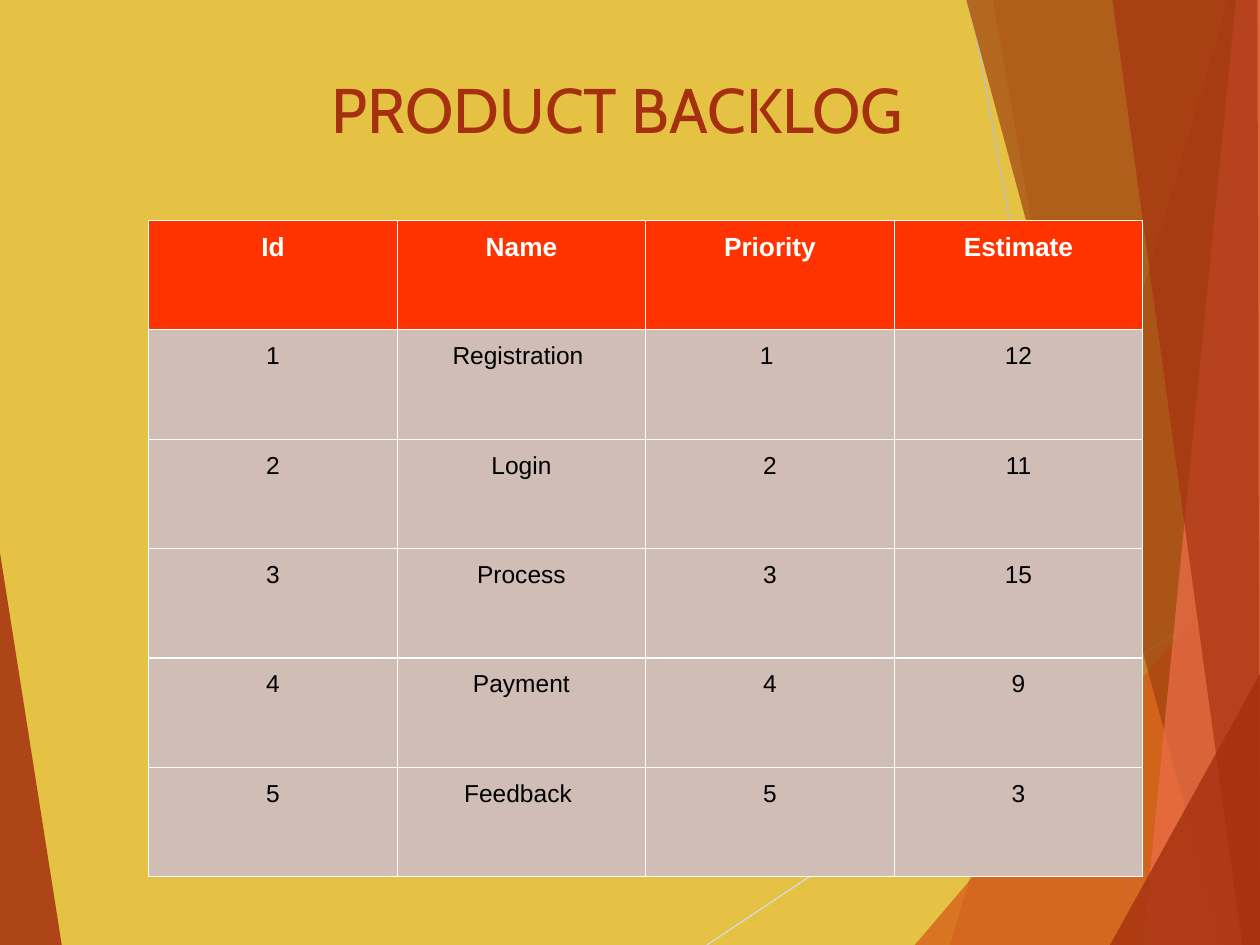
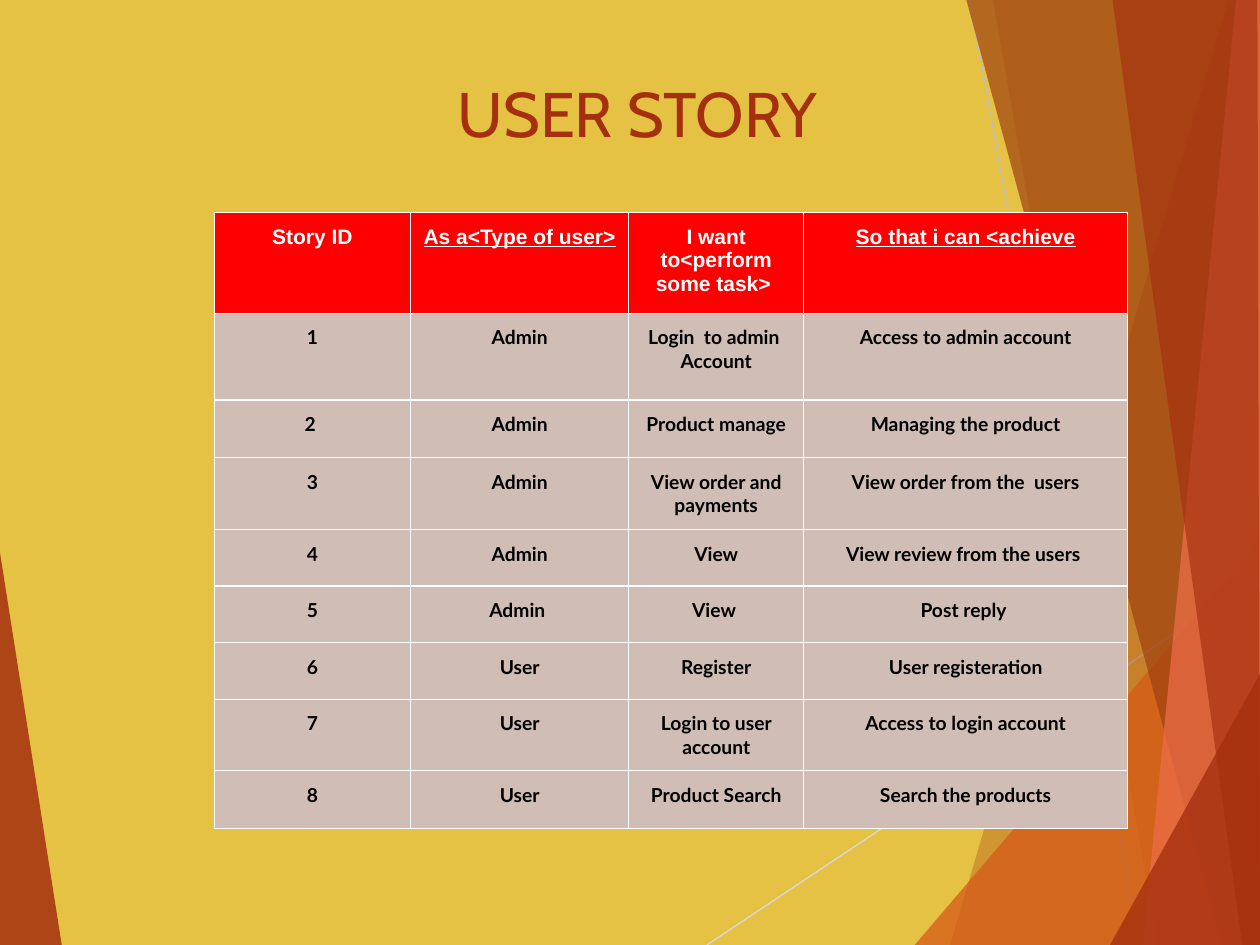
from lxml.etree import SubElement
from pptx import Presentation
from pptx.dml.color import RGBColor
from pptx.enum.shapes import MSO_CONNECTOR
from pptx.enum.text import MSO_ANCHOR, PP_ALIGN
from pptx.oxml import parse_xml
from pptx.oxml.ns import nsdecls, qn
from pptx.util import Inches, Pt

W, H = Inches(10), Inches(7.5)
FULL = (0, 0, W, H)
BLANK = 6

COLORS = {
    "gold": "E5C243", "brick": "A5300F", "rust": "A04210", "orange": "D55816",
    "coral": "EE6E4A", "pale": "D9D9D9", "silver": "BFBFBF", "white": "FFFFFF",
    "black": "000000", "body": "D0BDB6", "scarlet": "FF3300", "red": "FF0000",
}

RAYS = [((56.1, 100), (100, 61), "pale"), ((77, 0), (90.4, 100), "silver")]

FACETS = [
    ("brick", 30, [(97.5, 0), (75.4, 100), (100, 100), (100, 0)]),
    ("brick", 20, [(78.8, 0), (91.9, 100), (100, 100), (100, 0)]),
    ("orange", 72, [(72.6, 100), (100, 57.2), (100, 100)]),
    ("rust", 70, [(76.7, 0), (97, 100), (100, 100), (100, 0)]),
    ("coral", 70, [(98.1, 0), (90.7, 100), (100, 100), (100, 0)]),
    ("brick", 65, [(88.3, 0), (98.6, 100), (100, 100), (99.8, 0)]),
    ("brick", 80, [(88.1, 100), (100, 71.3), (100, 100)]),
]
LEFT_FACET = ("brick", 85, [(0, 58.5), (4.9, 100), (0, 100)])

BACKLOG = [
    ["Id", "Name", "Priority", "Estimate"],
    ["1", "Registration ", "1 ", "12"],
    ["2", "Login", "2", "11"],
    ["3", "Process", "3", "15"],
    ["4", "Payment", "4", "9"],
    ["5", "Feedback ", "5", "3"],
]

STORIES = [
    ["Story ID", "As a<Type of user>", "I want to<perform some task> ",
     "So that i can <achieve"],
    ["1", "Admin", "Login  to admin \nAccount", "Access to admin account"],
    ["2 ", "Admin", "Product manage", "Managing the product"],
    ["3", "Admin", "View order and payments", "View order from the  users"],
    ["4", "Admin", "View", "View review from the users "],
    ["5", "Admin ", "View ", "Post reply "],
    ["6", "User", "Register", "User registeration"],
    ["7", "User", "Login to user account", "Access to login account"],
    ["8", "User", "Product Search", "Search the products"],
]


def rgb(name):
    """Return a palette colour."""
    return RGBColor.from_string(COLORS[name])


def place(box, x, y):
    """Turn percentages of a box into a point on the slide."""
    left, top, width, height = box
    return round(left + width * x / 100), round(top + height * y / 100)


def region(box, x, y, width, height):
    """Cut a smaller box, given in percentages, out of a box."""
    return (*place(box, x, y), *place((0, 0, *box[2:]), width, height))


def add_facet(s, box, color, opacity, points):
    """Draw one translucent polygon."""
    start, *rest = [place(box, x, y) for x, y in points]
    builder = s.shapes.build_freeform(*start)
    builder.add_line_segments(rest)
    sp = builder.convert_to_shape()
    sp.shadow.inherit = False
    sp.fill.solid()
    sp.fill.fore_color.rgb = rgb(color)
    sp.line.fill.background()
    clr = sp._element.spPr.find(qn("a:solidFill"))[0]
    SubElement(clr, qn("a:alpha"), val=str(opacity * 1000))


def add_ray(s, box, start, end, color):
    """Draw one thin line."""
    ray = s.shapes.add_connector(
        MSO_CONNECTOR.STRAIGHT, *place(box, *start), *place(box, *end))
    ray.line.color.rgb = rgb(color)
    ray.line.width = Pt(0.75)
    SubElement(ray._element.spPr, qn("a:effectLst"))


def add_backdrop(s, box):
    """Draw the facets and rays that every slide shares."""
    add_facet(s, box, *LEFT_FACET)
    for ray in RAYS:
        add_ray(s, box, *ray)
    for facet in FACETS:
        add_facet(s, box, *facet)


def add_text(p, text, font, size, color, bold=False, underline=False):
    """Write one centred run."""
    p.alignment = PP_ALIGN.CENTER
    r = p.add_run()
    r.text = text
    r.font.name = font
    r.font.size = Pt(size)
    r.font.bold = bold
    r.font.underline = underline
    r.font.color.rgb = rgb(color)


def add_title(s, box, text):
    """Write the slide title in the middle of its box."""
    tf = s.shapes.add_textbox(*box).text_frame
    tf.word_wrap = True
    tf.vertical_anchor = MSO_ANCHOR.MIDDLE
    add_text(tf.paragraphs[0], text, "Cabin", 36, "brick")


def style_cell(cell, fill):
    """Give a cell its margins, fill and white borders."""
    cell.margin_left = cell.margin_right = Inches(0.1)
    cell.margin_top = cell.margin_bottom = Inches(0.1)
    cell.fill.solid()
    cell.fill.fore_color.rgb = rgb(fill)
    tc_pr = cell._tc.get_or_add_tcPr()
    for i, side in enumerate(("lnL", "lnR", "lnT", "lnB")):
        tc_pr.insert(i, parse_xml(
            f'<a:{side} {nsdecls("a")} w="{Pt(0.75)}"><a:solidFill>'
            f'<a:srgbClr val="{COLORS["white"]}"/></a:solidFill></a:{side}>'))


def add_grid(s, box, rows, cols, heights, head_fill, head, body, underlined=()):
    """Fill a box with a table whose columns and rows follow the weights."""
    table = s.shapes.add_table(len(rows), len(cols), *box).table
    for column, weight in zip(table.columns, cols):
        column.width = round(box[2] * weight / sum(cols))
    for row, weight in zip(table.rows, heights):
        row.height = round(box[3] * weight / sum(heights))
    for i, texts in enumerate(rows):
        for j, text in enumerate(texts):
            cell = table.cell(i, j)
            style_cell(cell, body["fill"] if i else head_fill)
            tf = cell.text_frame
            for k, line in enumerate(text.split("\n")):
                p = tf.add_paragraph() if k else tf.paragraphs[0]
                style = body["text"] if i else head
                add_text(p, line, **style, underline=not i and j in underlined)


def add_slide(prs, title, title_box):
    """Start a slide with its backdrop and title."""
    s = prs.slides.add_slide(prs.slide_layouts[BLANK])
    add_backdrop(s, FULL)
    add_title(s, region(FULL, *title_box), title)
    return s


def backlog_slide(prs):
    """Build the product backlog slide."""
    s = add_slide(prs, "PRODUCT BACKLOG", (14.3, 3.07, 69.4, 16.8))
    add_grid(
        s, region(FULL, 11.8, 23.33, 78.9, 69.47), BACKLOG,
        [1] * 4, [1] * len(BACKLOG), "scarlet",
        {"font": "Arial", "size": 15, "color": "white", "bold": True},
        {"fill": "body", "text": {"font": "Arial", "size": 14, "color": "black"}})


def story_slide(prs):
    """Build the user story slide."""
    s = add_slide(prs, "USER STORY", (5.6, 3.6, 90, 16.67))
    add_grid(
        s, region(FULL, 17, 22.47, 72.5, 64.8), STORIES,
        [156, 173, 139, 257], [77, 69, 46, 57, 45, 45, 45, 57, 46], "red",
        {"font": "Arial", "size": 12, "color": "white", "bold": True},
        {"fill": "body", "text": {"font": "Lato", "size": 11, "color": "black",
                                  "bold": True}},
        underlined=(1, 3))


def main():
    """Build and save the deck."""
    prs = Presentation()
    prs.slide_width, prs.slide_height = W, H
    fill = prs.slide_master.background.fill
    fill.solid()
    fill.fore_color.rgb = rgb("gold")
    backlog_slide(prs)
    story_slide(prs)
    prs.save("out.pptx")


if __name__ == "__main__":
    main()
